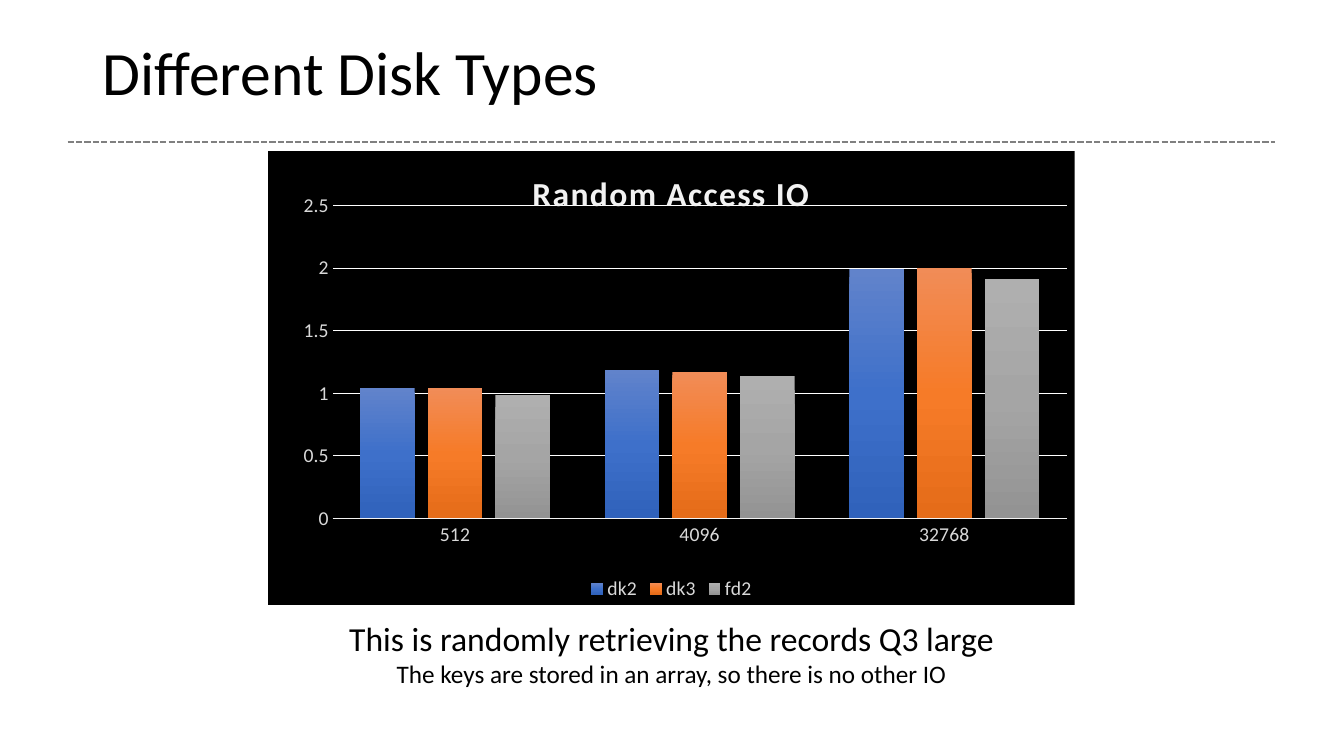
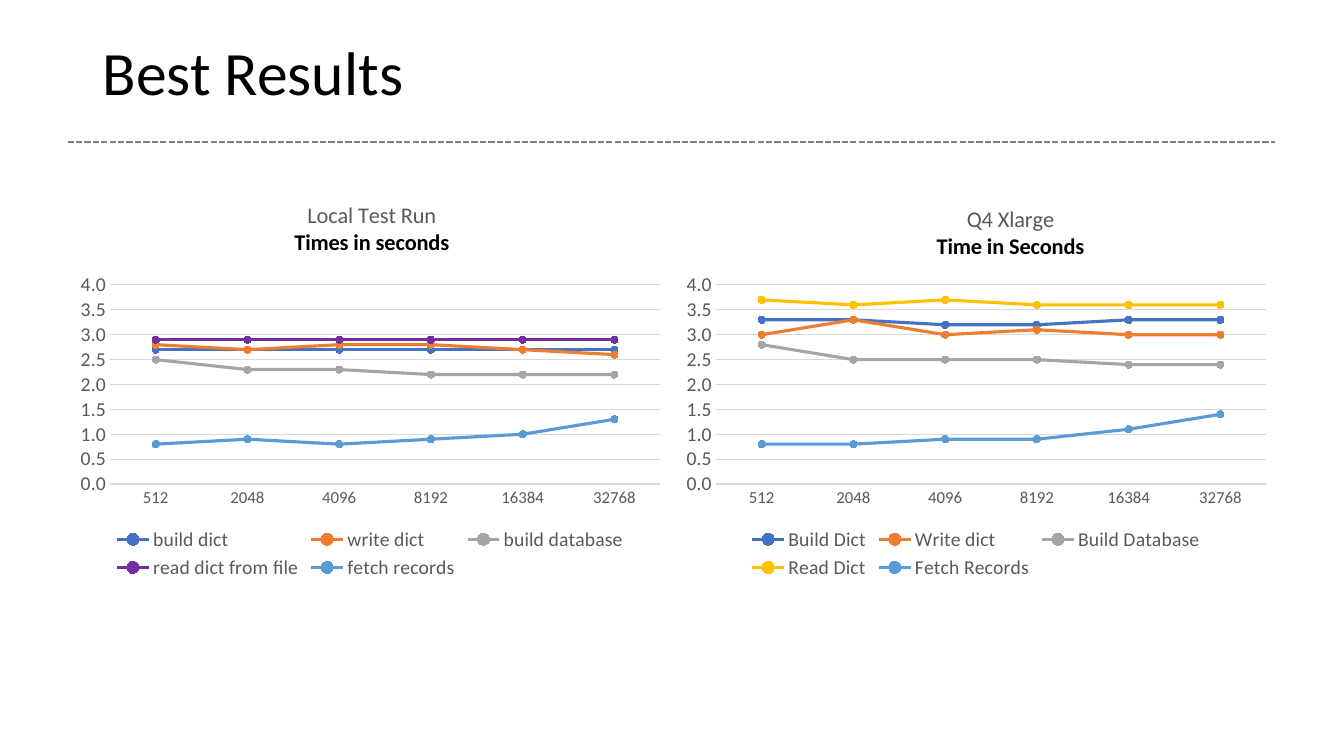
from dataclasses import dataclass

from pptx import Presentation, oxml, util as u
from pptx.chart import data as chart_data
from pptx.dml import color
from pptx.enum import chart as charts, dml, shapes, text
from pptx.oxml import ns


@dataclass(frozen=True)
class Theme:
    font: str = "Calibri"
    ink: str = "000000"
    muted: str = "595959"
    pale: str = "D9D9D9"
    bright: str = "F2F2F2"
    white: str = "FFFFFF"
    rule: str = "808080"
    blue: str = "4472C4"
    orange: str = "ED7D31"
    gray: str = "A5A5A5"
    gold: str = "FFC000"
    purple: str = "7030A0"
    sky: str = "5B9BD5"
    gradients: tuple = (
        ("6183CB", "3E70CA", "3062BB"),
        ("F18C57", "F67B28", "E56C19"),
        ("AFAFAF", "A5A5A5", "939393"),
    )
    title_size: int = 44
    heading_size: int = 24
    note_size: int = 18
    chart_title_size: int = 16
    label_size: int = 14
    category_size: int = 12
    chart_size: int = 10


@dataclass(frozen=True)
class Box:
    left: float
    top: float
    width: float
    height: float

    def lengths(self):
        return [u.Inches(n) for n in (self.left, self.top, self.width, self.height)]


THEME = Theme()


def rgb(value):
    return color.RGBColor.from_string(value)


def style_font(font, size, value, bold=False):
    font.name = THEME.font
    font.size = u.Pt(size)
    font.bold = bold
    font.color.rgb = rgb(value)


def style_line(line, value, width):
    line.color.rgb = rgb(value)
    line.width = u.Pt(width)


def set_layout(parent, index, inner=False, **fractions):
    for old in parent.findall(ns.qn("c:layout")):
        parent.remove(old)
    target = '<c:layoutTarget val="inner"/>' if inner else ""
    modes = "".join(f'<c:{axis}Mode val="edge"/>' for axis in "xy")
    values = "".join(f'<c:{key} val="{value}"/>' for key, value in fractions.items())
    parent.insert(index, oxml.parse_xml(
        f'<c:layout {ns.nsdecls("c")}><c:manualLayout>{target}{modes}{values}'
        "</c:manualLayout></c:layout>"))


def gradient_fill(series, colors):
    stops = "".join(
        f'<a:gs pos="{position}"><a:srgbClr val="{value}"/></a:gs>'
        for position, value in zip((0, 50000, 100000), colors))
    series._element.get_or_add_spPr().append(oxml.parse_xml(
        f'<a:gradFill {ns.nsdecls("a")}><a:gsLst>{stops}</a:gsLst>'
        '<a:lin ang="5400000" scaled="0"/></a:gradFill>'))


def add_titled_slide(presentation, title):
    slide = presentation.slides.add_slide(presentation.slide_layouts[5])
    shape = slide.shapes.title
    shape.left, shape.top, shape.width, shape.height = Box(0.92, 0.34, 11.5, 0.81).lengths()
    frame = shape.text_frame
    frame.text = title
    frame.vertical_anchor = text.MSO_ANCHOR.MIDDLE
    paragraph = frame.paragraphs[0]
    paragraph.alignment = text.PP_ALIGN.LEFT
    paragraph.line_spacing = 0.9
    style_font(paragraph.font, THEME.title_size, THEME.ink)

    rule = slide.shapes.add_connector(
        shapes.MSO_CONNECTOR.STRAIGHT,
        u.Inches(0.67), u.Inches(1.41), u.Inches(12.65), u.Inches(1.41))
    style_line(rule.line, THEME.rule, 1.5)
    rule.line.dash_style = dml.MSO_LINE.SQUARE_DOT
    rule._element.spPr.append(oxml.parse_xml(f'<a:effectLst {ns.nsdecls("a")}/>'))
    return slide


def add_chart(slide, box, kind, categories, rows, number_format="General"):
    data = chart_data.CategoryChartData(number_format=number_format)
    data.categories = categories
    for name, values in rows:
        data.add_series(name, values)
    chart = slide.shapes.add_chart(kind, *box.lengths(), data).chart
    style_font(chart.font, THEME.chart_size, THEME.ink)
    chart.plots[0].vary_by_categories = False
    return chart


def add_chart_title(chart, lines, x, y):
    chart.has_title = True
    frame = chart.chart_title.text_frame
    for index, (line, size, value, bold) in enumerate(lines):
        paragraph = frame.add_paragraph() if index else frame.paragraphs[0]
        paragraph.add_run().text = line
        style_font(paragraph.font, size, value, bold)
        style_font(paragraph.runs[0].font, size, value, bold)
    set_layout(chart.chart_title._element, 1, x=x, y=y)


def style_axes(chart, maximum, text_color, category_size, grid, base_line, number_format):
    category, value = chart.category_axis, chart.value_axis
    for axis, size in ((category, category_size), (value, THEME.label_size)):
        axis.major_tick_mark = axis.minor_tick_mark = charts.XL_TICK_MARK.NONE
        style_font(axis.tick_labels.font, size, text_color)
    style_line(category.format.line, *base_line)
    value.minimum_scale, value.maximum_scale, value.major_unit = 0, maximum, 0.5
    value.has_major_gridlines = True
    style_line(value.major_gridlines.format.line, grid, 0.75)
    value.format.line.fill.background()
    value.tick_labels.number_format = number_format
    value.tick_labels.number_format_is_linked = False

    chart.has_legend = True
    chart.legend.position = charts.XL_LEGEND_POSITION.BOTTOM
    chart.legend.include_in_layout = False
    style_font(chart.legend.font, THEME.label_size, text_color)


def add_column_chart(slide, box, title, categories, rows):
    chart = add_chart(slide, box, charts.XL_CHART_TYPE.COLUMN_CLUSTERED, categories, rows)
    add_chart_title(chart, [(title, THEME.heading_size, THEME.bright, True)], 0.32, 0.03)
    chart.chart_title.text_frame.paragraphs[0].runs[0].font._element.set("spc", "100")
    style_axes(chart, 2.5, THEME.pale, THEME.label_size, THEME.white,
               (THEME.bright, 1), "General")
    plot = chart.plots[0]
    plot.gap_width, plot.overlap = 100, -24
    for series, colors in zip(plot.series, THEME.gradients):
        gradient_fill(series, colors)
    chart_element = chart._chartSpace.find(ns.qn("c:chart"))
    chart_element.addnext(oxml.parse_xml(
        f'<c:spPr {ns.nsdecls("c", "a")}><a:solidFill><a:srgbClr val="{THEME.ink}"/>'
        "</a:solidFill><a:ln><a:noFill/></a:ln></c:spPr>"))
    set_layout(chart_element.find(ns.qn("c:plotArea")), 0, True,
               x=0.08, y=0.12, w=0.91, h=0.69)


def add_line_chart(slide, box, title, subtitle, title_at, categories, rows, colors):
    number_format = "#,##0.0"
    chart = add_chart(slide, box, charts.XL_CHART_TYPE.LINE_MARKERS,
                      categories, rows, number_format)
    size = THEME.chart_title_size
    add_chart_title(chart, [(title, size, THEME.muted, False),
                            (subtitle, size, THEME.ink, True)], *title_at)
    style_axes(chart, 4, THEME.muted, THEME.category_size, THEME.pale,
               (THEME.pale, 0.75), number_format)
    for series, value in zip(chart.plots[0].series, colors):
        series.smooth = False
        style_line(series.format.line, value, 2.25)
        marker = series.marker
        marker.style = charts.XL_MARKER_STYLE.CIRCLE
        marker.size = 5
        marker.format.fill.solid()
        marker.format.fill.fore_color.rgb = rgb(value)
        style_line(marker.format.line, value, 0.75)
    plot_area = chart._chartSpace.find(ns.qn("c:chart")).find(ns.qn("c:plotArea"))
    set_layout(plot_area, 0, True, x=0.07, y=0.25, w=0.91, h=0.5)


def add_caption(slide, box, lines):
    frame = slide.shapes.add_textbox(*box.lengths()).text_frame
    frame.word_wrap = True
    frame.auto_size = text.MSO_AUTO_SIZE.SHAPE_TO_FIT_TEXT
    for index, (line, size) in enumerate(lines):
        paragraph = frame.add_paragraph() if index else frame.paragraphs[0]
        paragraph.text = line
        paragraph.alignment = text.PP_ALIGN.CENTER
        style_font(paragraph.font, size, THEME.ink)


def build_disk_types(presentation):
    slide = add_titled_slide(presentation, "Different Disk Types")
    add_caption(slide, Box(3.07, 6.08, 7.18, 0.81), [
        ("This is randomly retrieving the records Q3 large", THEME.heading_size),
        ("The keys are stored in an array, so there is no other IO", THEME.note_size),
    ])
    add_column_chart(slide, Box(2.66, 1.5, 8, 4.5), "Random Access IO",
                     ("512", "4096", "32768"), [
                         ("dk2", (1.04, 1.19, 1.99)),
                         ("dk3", (1.04, 1.17, 2)),
                         ("fd2", (0.99, 1.14, 1.91)),
                     ])


def build_best_results(presentation):
    slide = add_titled_slide(presentation, "Best Results")
    categories = ("512", "2048", "4096", "8192", "16384", "32768")
    local_rows = [
        ("build dict", (2.7, 2.7, 2.7, 2.7, 2.7, 2.7)),
        ("write dict", (2.8, 2.7, 2.8, 2.8, 2.7, 2.6)),
        ("build database", (2.5, 2.3, 2.3, 2.2, 2.2, 2.2)),
        ("read dict from file", (2.9, 2.9, 2.9, 2.9, 2.9, 2.9)),
        ("fetch records", (0.8, 0.9, 0.8, 0.9, 1, 1.3)),
    ]
    server_rows = [
        ("Build Dict", (3.3, 3.3, 3.2, 3.2, 3.3, 3.3)),
        ("Write dict", (3, 3.3, 3, 3.1, 3, 3)),
        ("Build Database", (2.8, 2.5, 2.5, 2.5, 2.4, 2.4)),
        ("Read Dict", (3.7, 3.6, 3.7, 3.6, 3.6, 3.6)),
        ("Fetch Records", (0.8, 0.8, 0.9, 0.9, 1.1, 1.4)),
    ]
    panels = (
        (0.67, "Local Test Run", "Times in seconds", (0.37, 0.03), local_rows, THEME.purple),
        (6.68, "Q4 Xlarge", "Time in Seconds", (0.43, 0.04), server_rows, THEME.gold),
    )
    for left, title, subtitle, title_at, rows, read_color in panels:
        colors = (THEME.blue, THEME.orange, THEME.gray, read_color, THEME.sky)
        add_line_chart(slide, Box(left, 1.84, 6, 3.95), title, subtitle, title_at,
                       categories, rows, colors)


def main():
    presentation = Presentation()
    presentation.slide_width = u.Inches(13.33)
    presentation.slide_height = u.Inches(7.5)
    build_disk_types(presentation)
    build_best_results(presentation)
    presentation.save("out.pptx")


if __name__ == "__main__":
    main()
